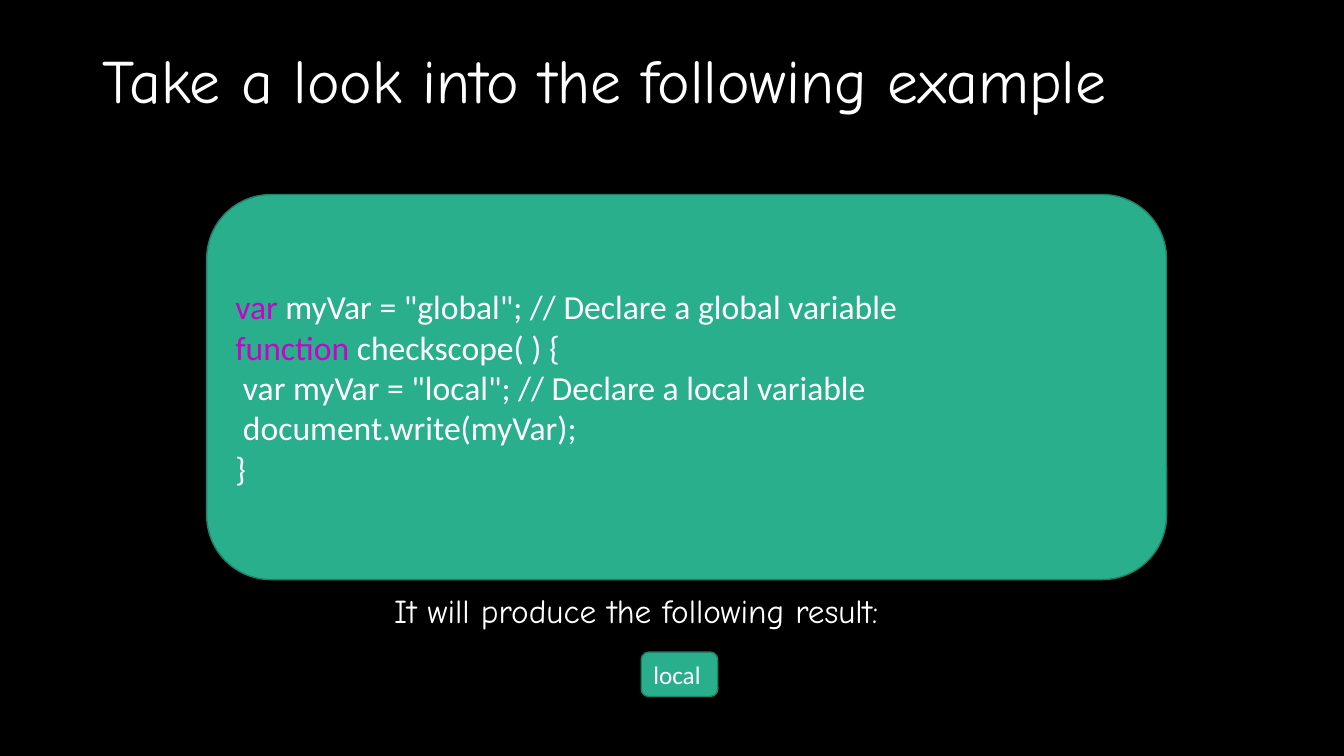
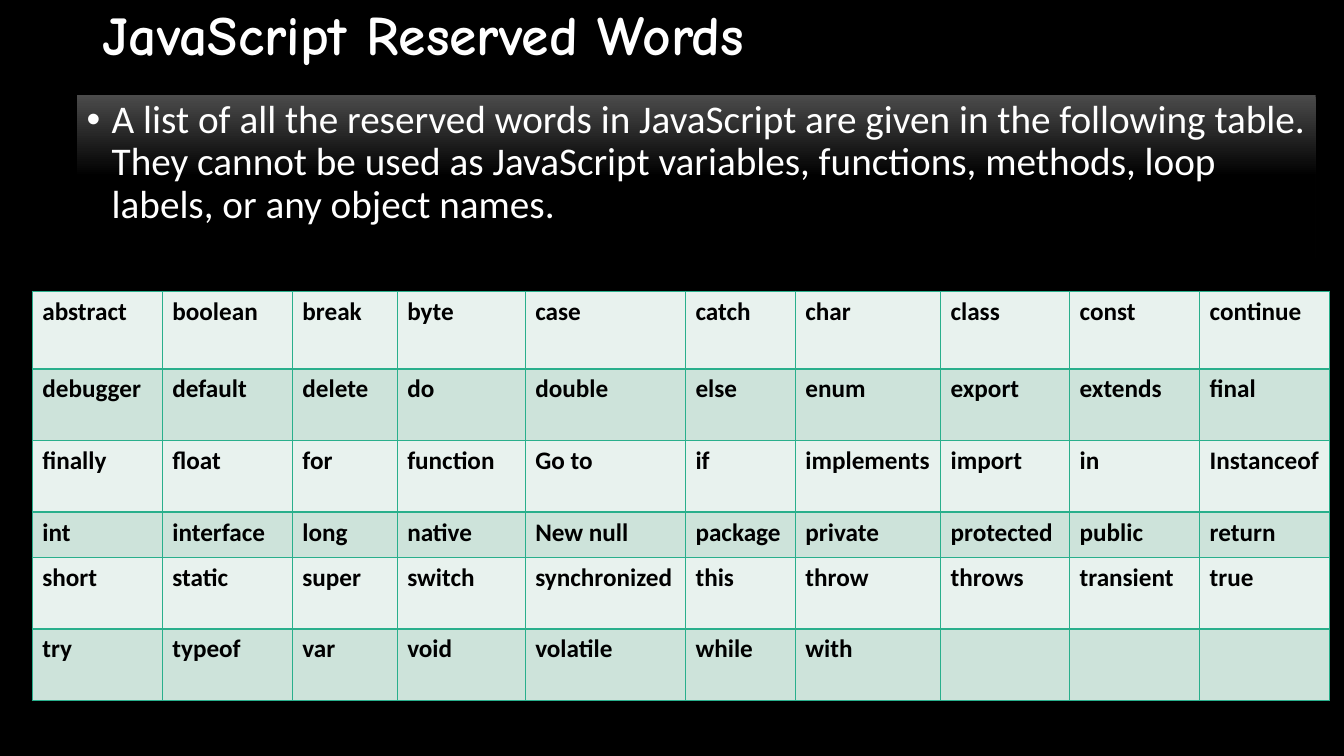
from lxml import etree
from pptx import Presentation
from pptx.dml.color import RGBColor
from pptx.enum.shapes import MSO_SHAPE
from pptx.enum.text import MSO_ANCHOR, MSO_AUTO_SIZE, PP_ALIGN
from pptx.oxml.ns import qn
from pptx.util import Inches, Pt

ROUND, RECT = MSO_SHAPE.ROUNDED_RECTANGLE, MSO_SHAPE.RECTANGLE
LEFT, TOP, MIDDLE = PP_ALIGN.LEFT, MSO_ANCHOR.TOP, MSO_ANCHOR.MIDDLE
FIXED = MSO_AUTO_SIZE.NONE

BLACK = RGBColor(0x00, 0x00, 0x00)
WHITE = RGBColor(0xFF, 0xFF, 0xFF)
GREY = RGBColor(0x4B, 0x4B, 0x4B)
GREEN = RGBColor(0x29, 0xAF, 0x8C)
EDGE = RGBColor(0x1E, 0x81, 0x68)
PINK = RGBColor(0xCC, 0x00, 0xCC)
BANDS = [RGBColor(0xE8, 0xF2, 0xEE), RGBColor(0xCD, 0xE3, 0xDA)]

HEAD = {"font": {"name": "Comic Neue", "size": Pt(44), "bold": False},
        "para": {"line_spacing": 0.9}}
NOTE = {"font": {"name": "Comic Neue", "size": Pt(23.8)},
        "para": {"line_spacing": 0.8, "space_before": Pt(10)}}
CODE = {"font": {"name": "Calibri", "size": Pt(24)}, "para": {}}
RESULT = {"font": {"name": "Calibri", "size": Pt(18)}, "para": {}}
LEAD = {"font": {"name": "Calibri", "size": Pt(28)},
        "para": {"line_spacing": 0.9, "space_before": Pt(10)}}
WORD = {"font": {"name": "Calibri", "size": Pt(18), "bold": True}, "para": {}}


def write(frame, lines, look, anchor=TOP):
    frame.word_wrap = True
    frame.auto_size = FIXED
    frame.vertical_anchor = anchor
    for i, line in enumerate(lines):
        para = frame.add_paragraph() if i else frame.paragraphs[0]
        para.alignment = LEFT
        for name, value in look["para"].items():
            setattr(para, name, value)
        for text, color in line:
            run = para.add_run()
            run.text = text
            run.font.color.rgb = color
            for name, value in look["font"].items():
                setattr(run.font, name, value)


def start(text, top, height, look):
    slide = deck.slides.add_slide(deck.slide_layouts[5])
    title = slide.shapes.title
    title.left, title.top = Inches(0.92), Inches(top)
    title.width, title.height = Inches(11.65), Inches(height)
    write(title.text_frame, [[(text, WHITE)]], look, MIDDLE)
    return slide


deck = Presentation()
deck.slide_width, deck.slide_height = Inches(13.33), Inches(7.5)
back = deck.slide_master.background.fill
back.solid()
back.fore_color.rgb = BLACK

slide = start("Take a look into the following example", 0.4, 0.85, HEAD)
note = slide.shapes.add_textbox(Inches(3.81), Inches(5.88), Inches(5.72), Inches(0.46))
write(note.text_frame, [[("It will produce the following result:", WHITE)]], NOTE)

code = [
    [("var ", PINK), ('myVar = "global"; // Declare a global variable', WHITE)],
    [("function ", PINK), ("checkscope( ) {", WHITE)],
    [(' var myVar = "local"; // Declare a local variable', WHITE)],
    [(" document.write(myVar);", WHITE)],
    [("}", WHITE)],
]
panels = [
    ((2.05, 1.93, 9.52, 3.82), code, CODE),
    ((6.36, 6.47, 0.76, 0.44), [[("local", WHITE)]], RESULT),
]
for place, lines, look in panels:
    panel = slide.shapes.add_shape(ROUND, *map(Inches, place))
    panel.shadow.inherit = False
    panel.fill.solid()
    panel.fill.fore_color.rgb = GREEN
    panel.line.color.rgb = EDGE
    panel.line.width = Pt(1)
    write(panel.text_frame, lines, look, MIDDLE)

bold = {**HEAD, "font": {**HEAD["font"], "size": Pt(39.6), "bold": True}}
slide = start("JavaScript Reserved Words", 0.12, 0.5, bold)
lead = slide.shapes.add_shape(RECT, Inches(0.76), Inches(0.94), Inches(12.29), Inches(1.62))
lead.shadow.inherit = False
lead.line.fill.background()
lead.fill.gradient()
lead.fill.gradient_angle = 270
for stop, color, spot in zip(lead.fill.gradient_stops, (GREY, BLACK), (0, 0.5)):
    stop.color.rgb = color
    stop.position = spot
text = ("A list of all the reserved words in JavaScript are given in the following table. "
        "They cannot be used as JavaScript variables, functions, methods, loop labels, "
        "or any object names.")
write(lead.text_frame, [[(text, WHITE)]], LEAD)
props = lead.text_frame.paragraphs[0]._p.get_or_add_pPr()
props.set("marL", str(Inches(0.25)))
props.set("indent", str(Inches(-0.25)))
etree.SubElement(props, qn("a:buFont"), typeface="Arial")
etree.SubElement(props, qn("a:buChar"), char="•")

words = [
    "abstract|boolean|break|byte|case|catch|char|class|const|continue",
    "debugger|default|delete|do|double|else|enum|export|extends|final",
    "finally|float|for|function|Go to|if|implements|import|in|Instanceof",
    "int|interface|long|native|New null|package|private|protected|public|return",
    "short|static|super|switch|synchronized|this|throw|throws|transient|true",
    "try|typeof|var|void|volatile|while|with|||",
]
widths = [1.29, 1.29, 1.04, 1.27, 1.59, 1.09, 1.44, 1.28, 1.29, 1.29]
heights = [0.77, 0.71, 0.71, 0.45, 0.71, 0.71]
grid = slide.shapes.add_table(len(words), len(widths), Inches(0.32), Inches(2.89),
                              Inches(sum(widths)), Inches(sum(heights))).table
grid.first_row = grid.horz_banding = False
for column, width in zip(grid.columns, widths):
    column.width = Inches(width)
for i, (row, height) in enumerate(zip(grid.rows, heights)):
    row.height = Inches(height)
    for cell, word in zip(row.cells, words[i].split("|")):
        props = cell._tc.get_or_add_tcPr()
        for side in ("lnL", "lnR", "lnT", "lnB"):
            line = etree.SubElement(props, qn("a:" + side), w=str(Pt(1)))
            paint = etree.SubElement(line, qn("a:solidFill"))
            etree.SubElement(paint, qn("a:srgbClr"), val=str(GREEN))
        cell.fill.solid()
        cell.fill.fore_color.rgb = BANDS[i % 2]
        if word:
            write(cell.text_frame, [[(word, BLACK)]], WORD)

deck.save("out.pptx")
